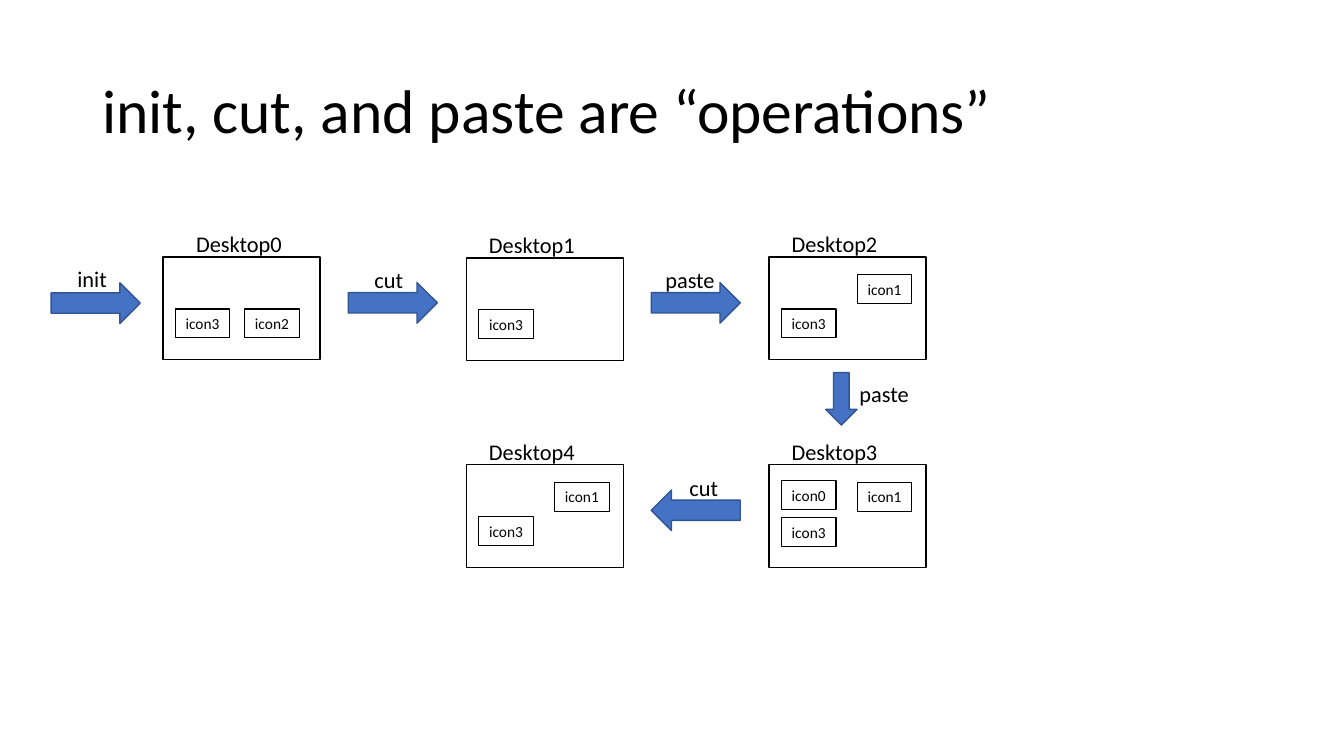
from pptx import Presentation
from pptx.dml.color import RGBColor
from pptx.enum.shapes import MSO_SHAPE
from pptx.enum.text import MSO_ANCHOR, PP_ALIGN
from pptx.util import Pt

BLACK = RGBColor(0x00, 0x00, 0x00)
BLUE = RGBColor(0x44, 0x72, 0xC4)
DARK_BLUE = RGBColor(0x32, 0x54, 0x91)

presentation = Presentation()
presentation.slide_width, presentation.slide_height = Pt(960), Pt(540)
slide = presentation.slides.add_slide(presentation.slide_layouts[6])


def write(box, text, size):
    """Put one line of text in a box and return its paragraph."""
    box.text_frame.word_wrap = False
    paragraph = box.text_frame.paragraphs[0]
    run = paragraph.add_run()
    run.text = text
    run.font.name = "Calibri"
    run.font.size = Pt(size)
    run.font.color.rgb = BLACK
    return paragraph


def draw(preset, left, top, width, height, fill, line, weight):
    """Add a preset shape, hollow if fill is None."""
    shape = slide.shapes.add_shape(preset, Pt(left), Pt(top), Pt(width), Pt(height))
    shape.shadow.inherit = False
    if fill is None:
        shape.fill.background()
    else:
        shape.fill.solid()
        shape.fill.fore_color.rgb = fill
    shape.line.color.rgb = line
    shape.line.width = Pt(weight)
    return shape


# Title
title = slide.shapes.add_textbox(Pt(66), Pt(28.75), Pt(828), Pt(104.4))
title_line = write(title, "init, cut, and paste are “operations”", 44)
title_line.line_spacing = 0.9
title.text_frame.word_wrap = True
title.text_frame.vertical_anchor = MSO_ANCHOR.MIDDLE

# Desktops: left, top, label offset, icons as (number, x offset, y offset)
LEFT_COLUMN, RIGHT_COLUMN = 8.8, 63
TOP_ROW, BOTTOM_ROW = 12.5, 37.1
desktops = [
    (116.4, 183.6, 16.6, [(3, LEFT_COLUMN, BOTTOM_ROW), (2, 58.4, BOTTOM_ROW)]),
    (333.2, 184.2, 9, [(3, LEFT_COLUMN, BOTTOM_ROW)]),
    (549.4, 183.6, 9, [(3, LEFT_COLUMN, BOTTOM_ROW), (1, RIGHT_COLUMN, TOP_ROW)]),
    (549.4, 332, 9, [(3, LEFT_COLUMN, BOTTOM_ROW + 0.8), (1, RIGHT_COLUMN, TOP_ROW),
                     (0, LEFT_COLUMN, 11.5)]),
    (333.2, 332, 9, [(3, LEFT_COLUMN, BOTTOM_ROW), (1, RIGHT_COLUMN, TOP_ROW)]),
]
for number, (left, top, label_offset, icons) in enumerate(desktops):
    draw(MSO_SHAPE.RECTANGLE, left, top, 112.2, 73.4, None, BLACK, 1)
    desktop_label = slide.shapes.add_textbox(
        Pt(left + label_offset), Pt(top - 22.4), Pt(76.4), Pt(26.6))
    write(desktop_label, f"Desktop{number}", 16)
    for icon_number, x, y in icons:
        icon = draw(MSO_SHAPE.RECTANGLE, left + x, top + y, 39, 20.6, None, BLACK, 0.75)
        frame = icon.text_frame
        frame.margin_left = frame.margin_right = Pt(0)
        frame.margin_top = frame.margin_bottom = Pt(0)
        frame.vertical_anchor = MSO_ANCHOR.MIDDLE
        write(icon, f"icon{icon_number}", 11).alignment = PP_ALIGN.CENTER

# Operations: name, arrow preset and box, label left, top and width
operations = [
    ("init", MSO_SHAPE.RIGHT_ARROW, (36.6, 202, 63.6, 29), 48.2, 186, 36),
    ("cut", MSO_SHAPE.RIGHT_ARROW, (248.8, 201.8, 63.6, 29), 260.4, 186.6, 35.4),
    ("paste", MSO_SHAPE.RIGHT_ARROW, (465.2, 201.8, 63.6, 29), 468.2, 186.6, 50.4),
    ("paste", MSO_SHAPE.DOWN_ARROW, (589.8, 266.2, 22.4, 37.4), 606.8, 268, 50.4),
    ("cut", MSO_SHAPE.LEFT_ARROW, (465.2, 350, 63.6, 29), 485.4, 334.8, 35.4),
]
for name, preset, arrow_box, label_left, label_top, label_width in operations:
    draw(preset, *arrow_box, BLUE, DARK_BLUE, 1)
    operation_label = slide.shapes.add_textbox(
        Pt(label_left), Pt(label_top), Pt(label_width), Pt(26.6))
    write(operation_label, name, 16)

presentation.save("out.pptx")
